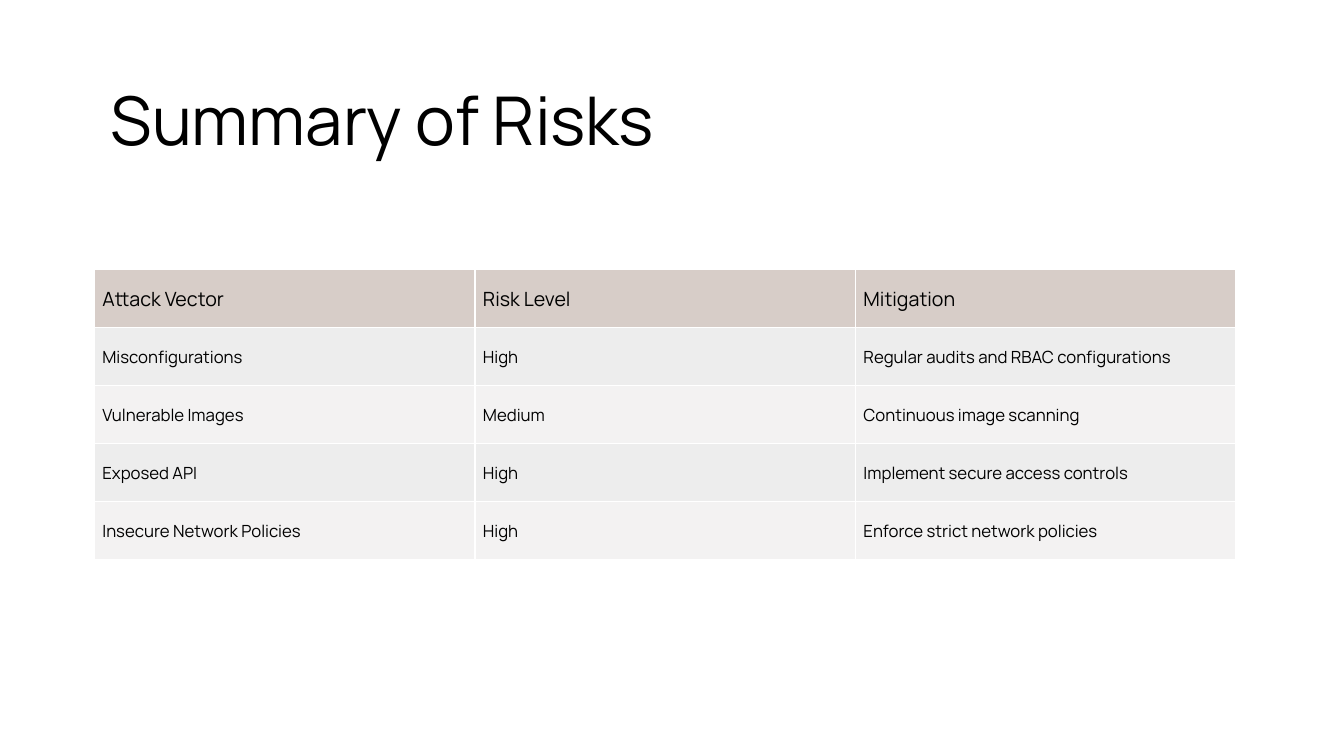
import dataclasses

import lxml.etree
import pptx
import pptx.dml.color
import pptx.enum.text
import pptx.oxml.ns
import pptx.table
import pptx.text.text
import pptx.util

Cm = pptx.util.Cm
Pt = pptx.util.Pt
RGBColor = pptx.dml.color.RGBColor
ANCHOR = pptx.enum.text.MSO_ANCHOR

FONT = "Manrope"
BLACK = RGBColor(0x00, 0x00, 0x00)
WHITE = RGBColor(0xFF, 0xFF, 0xFF)
HEAD = RGBColor(0xD7, 0xCD, 0xC8)
BANDS = (RGBColor(0xED, 0xED, 0xED), RGBColor(0xF3, 0xF2, 0xF2))
ROW_HIGH = Cm(1.46)
COL_WIDE = Cm(9.59)
INSET = Cm(0.2)


@dataclasses.dataclass(frozen=True)
class Risk:
    vector: str
    level: str
    remedy: str


HEADER = Risk("Attack Vector", "Risk Level", "Mitigation")
RISKS = (
    Risk("Misconfigurations", "High", "Regular audits and RBAC configurations"),
    Risk("Vulnerable Images", "Medium", "Continuous image scanning"),
    Risk("Exposed API", "High", "Implement secure access controls"),
    Risk("Insecure Network Policies", "High", "Enforce strict network policies"),
)


def write(
    frame: pptx.text.text.TextFrame,
    text: str,
    *,
    size: float,
    color: RGBColor = BLACK,
    spacing: float = 1.0,
) -> None:
    frame.word_wrap = True
    para = frame.paragraphs[0]
    para.line_spacing = spacing
    run = para.add_run()
    run.text = text
    run.font.name = FONT
    run.font.size = Pt(size)
    run.font.color.rgb = color


def border(cell: pptx.table._Cell, color: RGBColor, width: float) -> None:
    props = cell._tc.get_or_add_tcPr()
    qn = pptx.oxml.ns.qn
    for side in ("lnL", "lnR", "lnT", "lnB"):
        line = lxml.etree.SubElement(props, qn(f"a:{side}"), w=str(Pt(width)))
        fill = lxml.etree.SubElement(line, qn("a:solidFill"))
        lxml.etree.SubElement(fill, qn("a:srgbClr"), val=str(color))


def fill_row(table: pptx.table.Table, index: int, risk: Risk, color: RGBColor, size: float) -> None:
    table.rows[index].height = ROW_HIGH
    for col, text in enumerate(dataclasses.astuple(risk)):
        cell = table.cell(index, col)
        cell.margin_left = cell.margin_right = INSET
        cell.margin_top = cell.margin_bottom = INSET
        cell.vertical_anchor = ANCHOR.MIDDLE
        border(cell, WHITE, 1)
        cell.fill.solid()
        cell.fill.fore_color.rgb = color
        write(cell.text_frame, text, size=size)


def main() -> None:
    deck = pptx.Presentation()
    deck.slide_width = Cm(33.87)
    deck.slide_height = Cm(19.05)
    slide = deck.slides.add_slide(deck.slide_layouts[6])

    rows = len(RISKS) + 1
    cols = len(dataclasses.fields(Risk))
    table = slide.shapes.add_table(
        rows, cols, Cm(2.38), Cm(6.8), COL_WIDE * cols, ROW_HIGH * rows
    ).table
    for column in table.columns:
        column.width = COL_WIDE
    fill_row(table, 0, HEADER, HEAD, 14)
    for index, risk in enumerate(RISKS):
        fill_row(table, index + 1, risk, BANDS[index % 2], 12)

    title = slide.shapes.add_textbox(Cm(2.54), Cm(2), Cm(29), Cm(3.66))
    write(title.text_frame, "Summary of Risks", size=48, spacing=0.95)

    deck.save("out.pptx")


if __name__ == "__main__":
    main()
